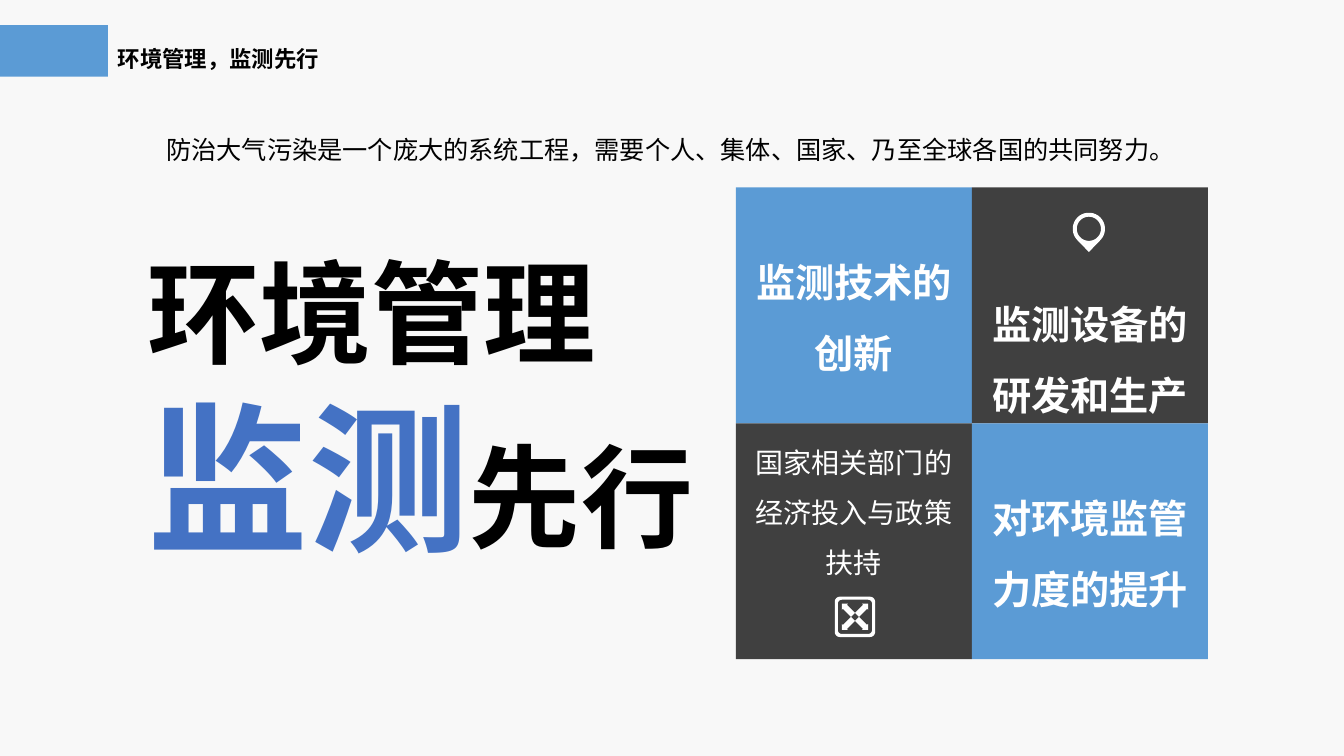
from math import cos, sin, radians
from lxml.etree import SubElement
from pptx import Presentation
from pptx.dml.color import RGBColor
from pptx.enum.shapes import MSO_SHAPE
from pptx.enum.text import MSO_ANCHOR, PP_ALIGN
from pptx.oxml.ns import qn
from pptx.util import Inches, Pt

THEME = {
    "font": "Noto Sans CJK SC",
    "back": "F8F8F8", "sky": "5B9BD5", "dark": "404040",
    "white": "FFFFFF", "ink": "000000", "accent": "4472C4",
    "head": 16, "lead": 18, "note": 20, "tile": 28, "big": 80, "huge": 115,
}

HEAD = "环境管理，监测先行"
LEAD = "防治大气污染是一个庞大的系统工程，需要个人、集体、国家、乃至全球各国的共同努力。"
SLOGAN = [("环境管理", "big", "ink"), ("监测", "huge", "accent"), ("先行", "big", "ink")]
TILES = [
    ("监测技术的创新", "sky", "tile", True, MSO_ANCHOR.MIDDLE),
    ("监测设备的研发和生产", "dark", "tile", True, MSO_ANCHOR.BOTTOM),
    ("国家相关部门的经济投入与政策扶持", "dark", "note", False, MSO_ANCHOR.TOP),
    ("对环境监管力度的提升", "sky", "tile", True, MSO_ANCHOR.MIDDLE),
]
GRID_X, GRID_Y, SIDE, COLS = 7.3, 1.86, 2.34, 2
PIN = (10.8, 2.27)
EXPAND = (8.48, 6.12)
ARROW = [(0.04, 0), (0.12, 0.08), (0.13, 0.07), (0.13, 0.13),
         (0.07, 0.13), (0.08, 0.12), (0, 0.04)]

deck = Presentation()
deck.slide_width, deck.slide_height = Inches(13.33), Inches(7.5)
slide = deck.slides.add_slide(deck.slide_layouts[6])


def color(name):
    return RGBColor.from_string(THEME[name])


def paint(shape, name):
    shape.shadow.inherit = False
    shape.fill.solid()
    shape.fill.fore_color.rgb = color(name)
    shape.line.fill.background()
    return shape


def rect(x, y, w, h, fill):
    box = slide.shapes.add_shape(
        MSO_SHAPE.RECTANGLE, Inches(x), Inches(y), Inches(w), Inches(h))
    return paint(box, fill)


def area(x, y, w, h):
    return slide.shapes.add_textbox(Inches(x), Inches(y), Inches(w), Inches(h))


def write(shape, text, size="lead", tint="ink", bold=False,
          align=PP_ALIGN.LEFT, anchor=MSO_ANCHOR.TOP, space=None):
    frame = shape.text_frame
    frame.word_wrap = True
    frame.vertical_anchor = anchor
    para = frame.paragraphs[0]
    para.alignment = align
    para.line_spacing = space
    run = para.add_run()
    run.text = text
    font = run.font
    font.name, font.size, font.bold = THEME["font"], Pt(THEME[size]), bold
    font.color.rgb = color(tint)
    SubElement(run._r.get_or_add_rPr(), qn("a:ea"), typeface=THEME["font"])


def arc(x, y, radius, start, end, step=10):
    return [(x + radius * cos(radians(a)), y + radius * sin(radians(a)))
            for a in range(start, end + 1, step)]


def frame_path(half, radius):
    inset = half - radius
    corners = [(1, 1, 0), (-1, 1, 90), (-1, -1, 180), (1, -1, 270)]
    return [point for sx, sy, turn in corners
            for point in arc(sx * inset, sy * inset, radius, turn, turn + 90, 15)]


def icon(center, loops):
    cx, cy = center
    paths = [[(Inches(cx + x), Inches(cy + y)) for x, y in loop] for loop in loops]
    pen = slide.shapes.build_freeform(*paths[0][0])
    for index, path in enumerate(paths):
        if index:
            pen.move_to(*path[0])
        pen.add_line_segments(path[1:], close=True)
    paint(pen.convert_to_shape(), "white")


paint_back = slide.background.fill
paint_back.solid()
paint_back.fore_color.rgb = color("back")

rect(0, 0.25, 1.07, 0.51, "sky")
write(area(1.07, 0.4, 4.39, 0.37), HEAD, size="head", bold=True)

for index, (text, fill, size, bold, anchor) in enumerate(TILES):
    row, col = divmod(index, COLS)
    tile = rect(GRID_X + col * SIDE, GRID_Y + row * SIDE, SIDE, SIDE, fill)
    write(tile, text, size=size, tint="white", bold=bold,
          align=PP_ALIGN.CENTER, anchor=anchor, space=1.5)

icon(PIN, [arc(0, 0, 0.16, 135, 405) + [(0, 0.23)], arc(0, 0, 0.12, 0, 350)])
arrows = [[(sx * x, sy * y) for x, y in ARROW] for sx in (1, -1) for sy in (1, -1)]
icon(EXPAND, [frame_path(0.2, 0.05), frame_path(0.17, 0.04)] + arrows)

write(area(1.55, 1.28, 10.29, 0.4), LEAD)
slogan = area(1.36, 2.37, 5.78, 3.38)
for text, size, tint in SLOGAN:
    write(slogan, text, size=size, tint=tint, bold=True)

deck.save("out.pptx")
